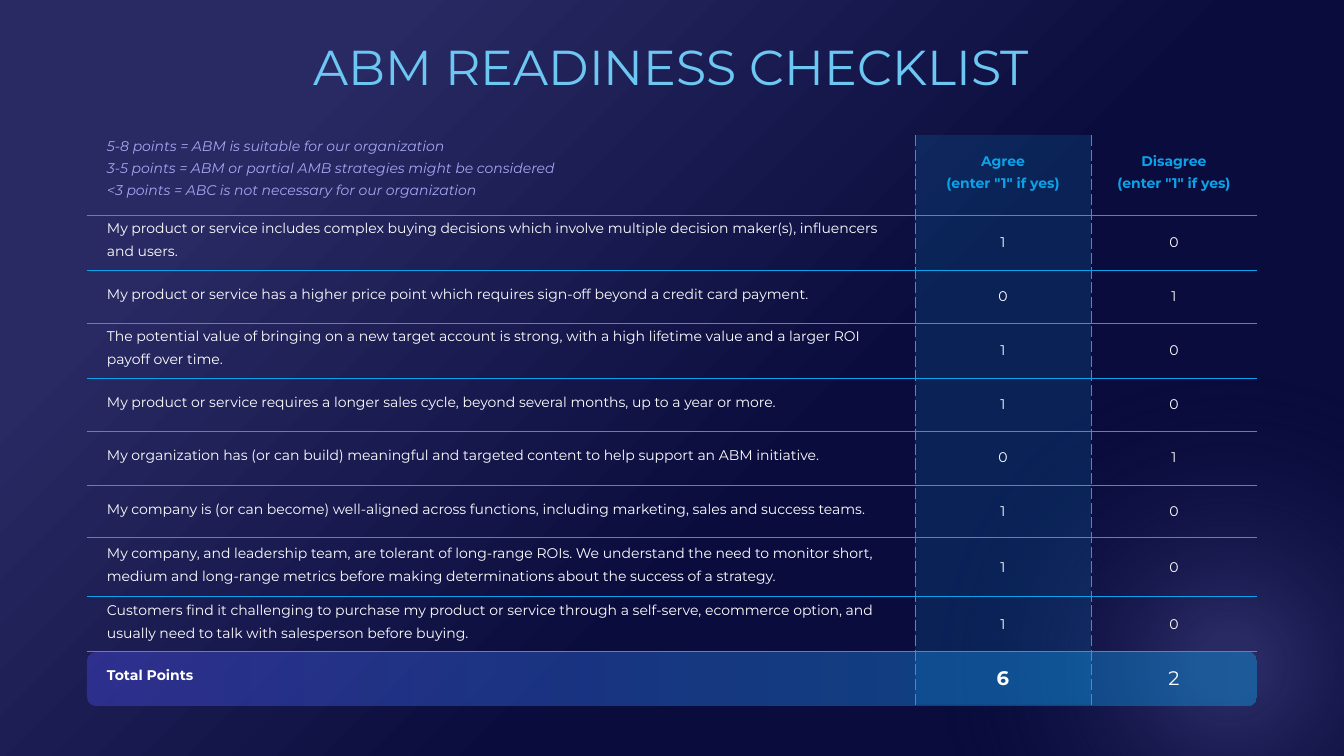
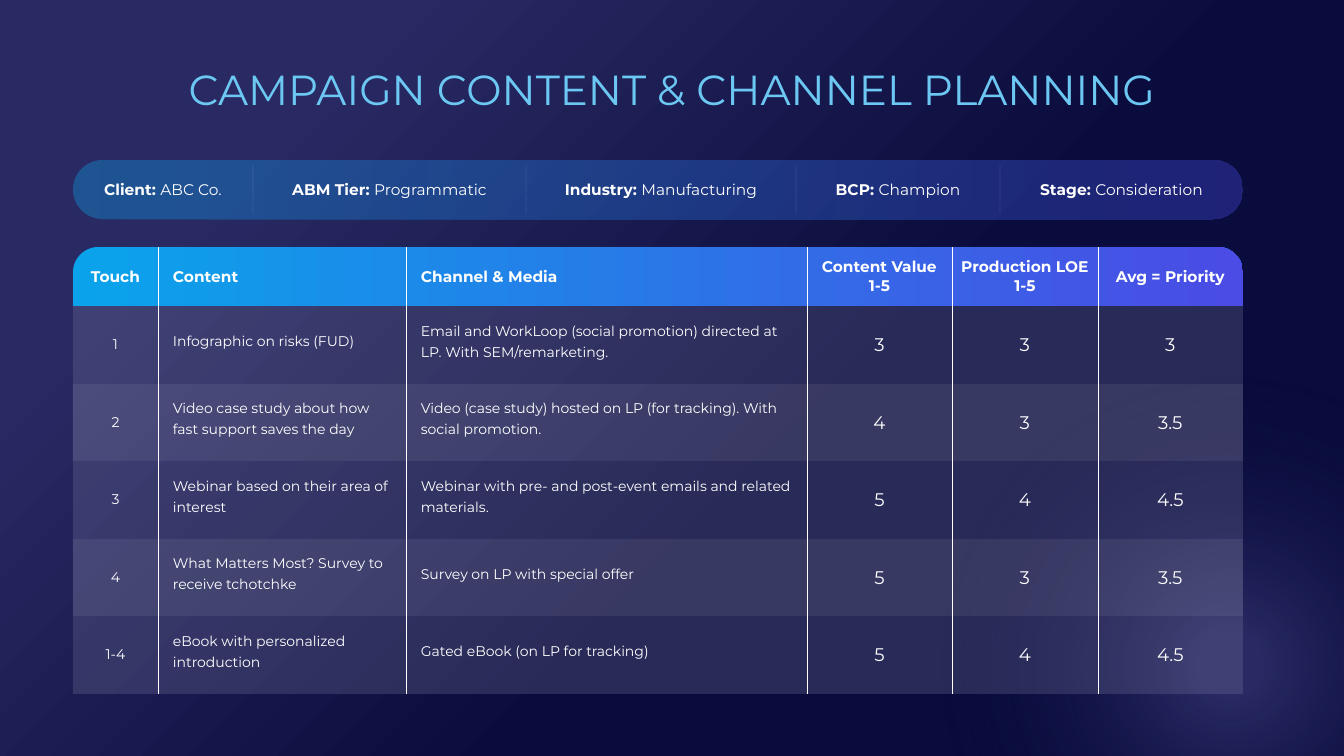
from lxml import etree
from pptx import Presentation
from pptx.dml.color import RGBColor
from pptx.enum import dml, shapes, text
from pptx.oxml import parse_xml
from pptx.oxml.ns import nsdecls, qn
from pptx.util import Pt

W, H = 1344, 756
SCALE = 12192000 / W
FONT = "Montserrat"
COLORS = {
    "indigo": "292A63", "navy": "0A0C3D", "violet": "4A4CE5", "blue": "0AA3EB",
    "sky": "6CC8F3", "lilac": "A4A6F2", "slate": "8485A8", "white": "FFFFFF",
}
LEFT, CENTER = text.PP_ALIGN.LEFT, text.PP_ALIGN.CENTER
MIDDLE = text.MSO_ANCHOR.MIDDLE
SHAPE = shapes.MSO_SHAPE
NO_STYLE = "{2D5ABB26-0587-4C30-8999-92F81FD0307C}"

# Gradients: (position, colour, opacity) stops, then the kind
CORNER, MIDPOINT = (0, 0, 100, 100), (50, 50, 50, 50)
BACKDROP = [(19, "indigo", 100), (60, "navy", 100)]
GLOW = [(8, "indigo", 100), (71, "navy", 0)]
TITLE = [(0, "sky", 100), (64, "blue", 100)]


def px(n):
    return round(n * SCALE)


def color_xml(color, alpha=100):
    return (f'<a:srgbClr val="{COLORS[color]}">'
            f'<a:alpha val="{alpha * 1000}"/></a:srgbClr>')


def solid_xml(color, alpha=100):
    return f'<a:solidFill {nsdecls("a")}>{color_xml(color, alpha)}</a:solidFill>'


def gradient_xml(stops, focus=None):
    gs = "".join(f'<a:gs pos="{pos * 1000}">{color_xml(color, alpha)}</a:gs>'
                 for pos, color, alpha in stops)
    if focus:
        sides = " ".join(f'{side}="{v * 1000}"' for side, v in zip("ltrb", focus))
        kind = f'<a:path path="circle"><a:fillToRect {sides}/></a:path>'
    else:
        kind = '<a:lin ang="0" scaled="0"/>'
    return (f'<a:gradFill {nsdecls("a")} rotWithShape="1">'
            f'<a:gsLst>{gs}</a:gsLst>{kind}</a:gradFill>')


def paint(fill, parent, xml):
    """Fill a parent element with a gradient or a translucent colour."""
    fill.solid()
    parent.replace(parent.find(qn("a:solidFill")), parse_xml(xml))


def pad(owner, inset):
    for side, n in zip(("left", "top", "right", "bottom"), inset):
        setattr(owner, f"margin_{side}", px(n))


class Deck:
    def __init__(self):
        self.prs = Presentation()
        self.prs.slide_width, self.prs.slide_height = px(W), px(H)
        master = self.prs.slide_master
        master.background.fill.solid()
        bg = master._element.cSld.find(qn("p:bg")).find(qn("p:bgPr"))
        paint(master.background.fill, bg, gradient_xml(BACKDROP, CORNER))

    def slide(self):
        self.s = self.prs.slides.add_slide(self.prs.slide_layouts[6])
        self.shape(SHAPE.OVAL, 942, 378, 575, 573, gradient_xml(GLOW, MIDPOINT))

    def shape(self, kind, x, y, w, h, fill, adjust=()):
        sp = self.s.shapes.add_shape(kind, px(x), px(y), px(w), px(h))
        sp.shadow.inherit = False
        sp.line.fill.background()
        for i, value in enumerate(adjust):
            sp.adjustments[i] = value
        paint(sp.fill, sp._element.spPr, fill)

    def add_lines(self, tf, lines, size, color="white", bold=False, italic=False,
                  align=LEFT, spacing=None, gradient=None):
        """Each line is a string, or a list of (text, bold) runs."""
        for i, line in enumerate(lines):
            p = tf.paragraphs[0] if i == 0 else tf.add_paragraph()
            p.alignment = align
            if spacing:
                p.line_spacing = Pt(spacing)
            runs = [(line, bold)] if isinstance(line, str) else line
            for words, heavy in runs:
                r = p.add_run()
                r.text = words
                r.font.name, r.font.size = FONT, Pt(size)
                r.font.bold, r.font.italic = heavy, italic
                if gradient:
                    paint(r.font.fill, r._r.get_or_add_rPr(), gradient)
                else:
                    r.font.color.rgb = RGBColor.from_string(COLORS[color])

    def text(self, x, y, w, h, lines, size, inset=(0, 0, 0, 0), **style):
        sp = self.s.shapes.add_textbox(px(x), px(y), px(w), px(h))
        tf = sp.text_frame
        tf.word_wrap, tf.vertical_anchor = True, MIDDLE
        pad(tf, inset)
        self.add_lines(tf, lines, size, **style)

    def title(self, x, y, w, h, words, size):
        self.text(x, y, w, h, [words], size, align=CENTER,
                  gradient=gradient_xml(TITLE, CORNER))

    def divider(self, x, top, bottom):
        c = self.s.shapes.add_connector(shapes.MSO_CONNECTOR.STRAIGHT,
                                        px(x), px(top), px(x), px(bottom))
        c.line.width = Pt(0.25)
        c.line.dash_style = dml.MSO_LINE.DASH
        paint(c.line.fill, c.line._get_or_add_ln(), solid_xml("white", 50))
        etree.SubElement(c._element.spPr, qn("a:effectLst"))

    def table(self, x, y, cols, rows):
        frame = self.s.shapes.add_table(len(rows), len(cols), px(x), px(y),
                                        px(sum(cols)), px(sum(rows)))
        tbl = frame.table
        tbl.first_row = tbl.horz_banding = False
        tbl._tbl.tblPr.find(qn("a:tableStyleId")).text = NO_STYLE
        for col, w in zip(tbl.columns, cols):
            col.width = px(w)
        for row, h in zip(tbl.rows, rows):
            row.height = px(h)
        return tbl

    def cell(self, cell, lines, size, inset, fill=None, **style):
        cell.vertical_anchor = MIDDLE
        pad(cell, inset)
        if fill:
            paint(cell.fill, cell._tc.get_or_add_tcPr(), fill)
        else:
            cell.fill.background()
        self.add_lines(cell.text_frame, lines, size, **style)

    def borders(self, cell, sides, color, width):
        """Sides maps L, R, T, B, in that order, to a dash name."""
        tc_pr = cell._tc.get_or_add_tcPr()
        for i, (side, dash) in enumerate(sides.items()):
            tc_pr.insert(i, parse_xml(
                f'<a:ln{side} {nsdecls("a")} w="{Pt(width)}">{solid_xml(color)}'
                f'<a:prstDash val="{dash}"/></a:ln{side}>'))


def checklist(deck):
    deck.slide()
    left, width = 87, 1170
    # Band behind the totals
    deck.shape(SHAPE.ROUNDED_RECTANGLE, left, 652, width, 54,
               gradient_xml([(0, "violet", 40), (100, "blue", 40)]))
    deck.title(300, 31, 743, 70, "ABM READINESS CHECKLIST", 35)

    # Statements with their scores
    hint = '(enter "1" if yes)'
    rows = [
        (80, [], ["Agree", hint], ["Disagree", hint]),
        (55, ["My product or service includes complex buying decisions which involve "
              "multiple decision maker(s), influencers and users."], ["1"], ["0"]),
        (53, ["My product or service has a higher price point which requires sign-off "
              "beyond a credit card payment."], ["0"], ["1"]),
        (55, ["The potential value of bringing on a new target account is strong, with a "
              "high lifetime value and a larger ROI payoff over time."], ["1"], ["0"]),
        (53, ["My product or service requires a longer sales cycle, beyond several "
              "months, up to a year or more."], ["1"], ["0"]),
        (54, ["My organization has (or can build) meaningful and targeted content to help "
              "support an ABM initiative."], ["0"], ["1"]),
        (53, ["My company is (or can become) well-aligned across functions, including "
              "marketing, sales and success teams."], ["1"], ["0"]),
        (59, ["My company, and leadership team, are tolerant of long-range ROIs. We "
              "understand the need to monitor short, medium and long-range metrics before "
              "making determinations about the success of a strategy."], ["1"], ["0"]),
        (55, ["Customers find it challenging to purchase my product or service through a "
              "self-serve, ecommerce option, and usually need to talk with salesperson "
              "before buying."], ["1"], ["0"]),
        (53, ["Total Points"], ["6"], ["2"]),
    ]
    tbl = deck.table(left, 135, [828, 176, 166], [row[0] for row in rows])
    last = len(rows) - 1
    for r, (_, *cells) in enumerate(rows):
        for c, lines in enumerate(cells):
            cell = tbl.cell(r, c)
            fill = solid_xml("blue", 15) if c == 1 else None
            if c == 0:
                deck.cell(cell, lines, 10, (20, 0, 20, 10), spacing=16, bold=r == last)
            elif r == 0:
                deck.cell(cell, lines, 10, (4, 0, 4, 10), fill, color="blue",
                          bold=True, align=CENTER, spacing=16)
            else:
                deck.cell(cell, lines, 14 if r == last else 10, (4, 0, 4, 0), fill,
                          bold=r == last and c == 1, align=CENTER)
            sides = {"L": ("dash", c > 0), "R": ("dash", c < 2),
                     "T": ("solid", 0 < r < last), "B": ("solid", r < last - 1)}
            deck.borders(cell, {k: dash for k, (dash, on) in sides.items() if on},
                         "blue", 0.5)

    # Scoring key
    deck.text(left, 127, 500, 76, [
        "5-8 points = ABM is suitable for our organization",
        "3-5 points = ABM or partial AMB strategies might be considered",
        "<3 points = ABC is not necessary for our organization",
    ], 10, (20, 5, 20, 5), color="lilac", italic=True, spacing=16)


def planning(deck):
    deck.slide()
    left, top, width, head = 73, 247, 1170, 59
    # Table panel and header band
    deck.shape(SHAPE.ROUND_2_SAME_RECTANGLE, left, top, width, 447,
               solid_xml("slate", 25), (0.06, 0))
    deck.shape(SHAPE.ROUND_2_SAME_RECTANGLE, left, top, width, head,
               gradient_xml([(0, "blue", 100), (100, "violet", 100)]), (0.43, 0))

    # Touch plan
    rows = [
        (["Touch"], ["Content"], ["Channel & Media"], ["Content Value", "1-5"],
         ["Production LOE 1-5"], ["Avg = Priority"]),
        (["1"], ["Infographic on risks (FUD)"],
         ["Email and WorkLoop (social promotion) directed at LP. With SEM/remarketing."],
         ["3"], ["3"], ["3"]),
        (["2"], ["Video case study about how fast support saves the day"],
         ["Video (case study) hosted on LP (for tracking). With social promotion."],
         ["4"], ["3"], ["3.5"]),
        (["3"], ["Webinar based on their area of interest"],
         ["Webinar with pre- and post-event emails and related materials."],
         ["5"], ["4"], ["4.5"]),
        (["4"], ["What Matters Most? Survey to receive tchotchke"],
         ["Survey on LP with special offer"], ["5"], ["3"], ["3.5"]),
        (["1-4"], ["eBook with personalized introduction"],
         ["Gated eBook (on LP for tracking)"], ["5"], ["4"], ["4.5"]),
    ]
    tbl = deck.table(left, top, [85, 248, 401, 145, 146, 145],
                     [head, 78, 77, 78, 77, 78])
    for r, row in enumerate(rows):
        fill = solid_xml("white", 7) if r in (2, 4) else None
        for c, lines in enumerate(row):
            cell = tbl.cell(r, c)
            wordy = c in (1, 2)
            align = LEFT if wordy else CENTER
            if r == 0:
                deck.cell(cell, lines, 11, (15, 3, 15, 3) if wordy else (6, 3, 6, 3),
                          bold=True, align=align)
            elif wordy:
                deck.cell(cell, lines, 10, (15, 0, 15, 10), fill, spacing=15)
            else:
                deck.cell(cell, lines, 13 if c > 2 else 10, (6, 3, 6, 3), fill,
                          align=align)
            sides = {"L": c > 0, "R": c < len(row) - 1}
            deck.borders(cell, {k: "solid" for k, on in sides.items() if on},
                         "white", 0.25)

    deck.title(172, 58, 1000, 62, "CAMPAIGN CONTENT & CHANNEL PLANNING", 30)

    # Campaign facts, centred between dividers
    deck.shape(SHAPE.ROUNDED_RECTANGLE, left, 160, width, 59,
               gradient_xml([(0, "blue", 35), (100, "violet", 35)]), (0.5,))
    facts = [("Client: ", "ABC Co."), ("ABM Tier: ", "Programmatic"),
             ("Industry: ", "Manufacturing"), ("BCP: ", "Champion"),
             ("Stage: ", "Consideration")]
    edges = [left, 253, 526, 796, 1000, left + width]
    for start, end, (label, value) in zip(edges, edges[1:], facts):
        deck.text(start + 20, 175, end - start - 40, 29,
                  [[(label, True), (value, False)]], 11, align=CENTER)
    for x in edges[1:-1]:
        deck.divider(x, 166, 214)


def main():
    deck = Deck()
    checklist(deck)
    planning(deck)
    deck.prs.save("out.pptx")


if __name__ == "__main__":
    main()
